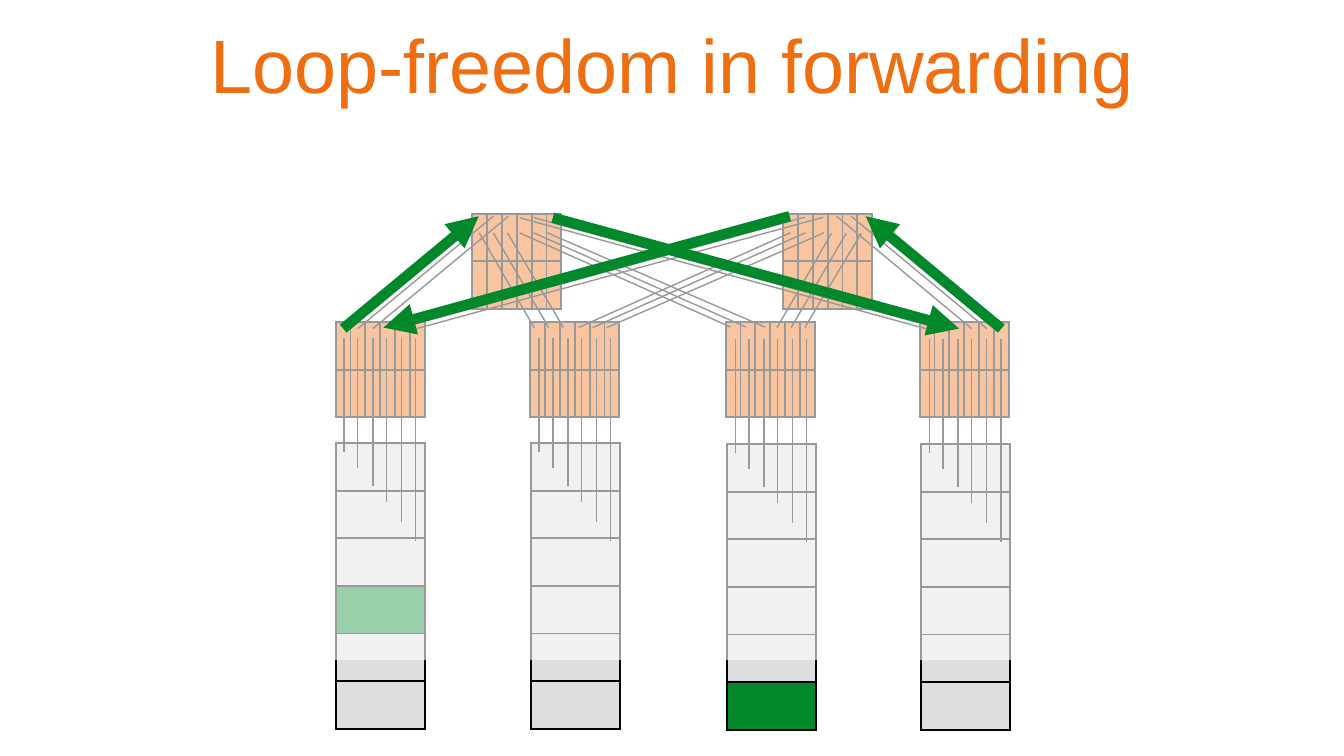
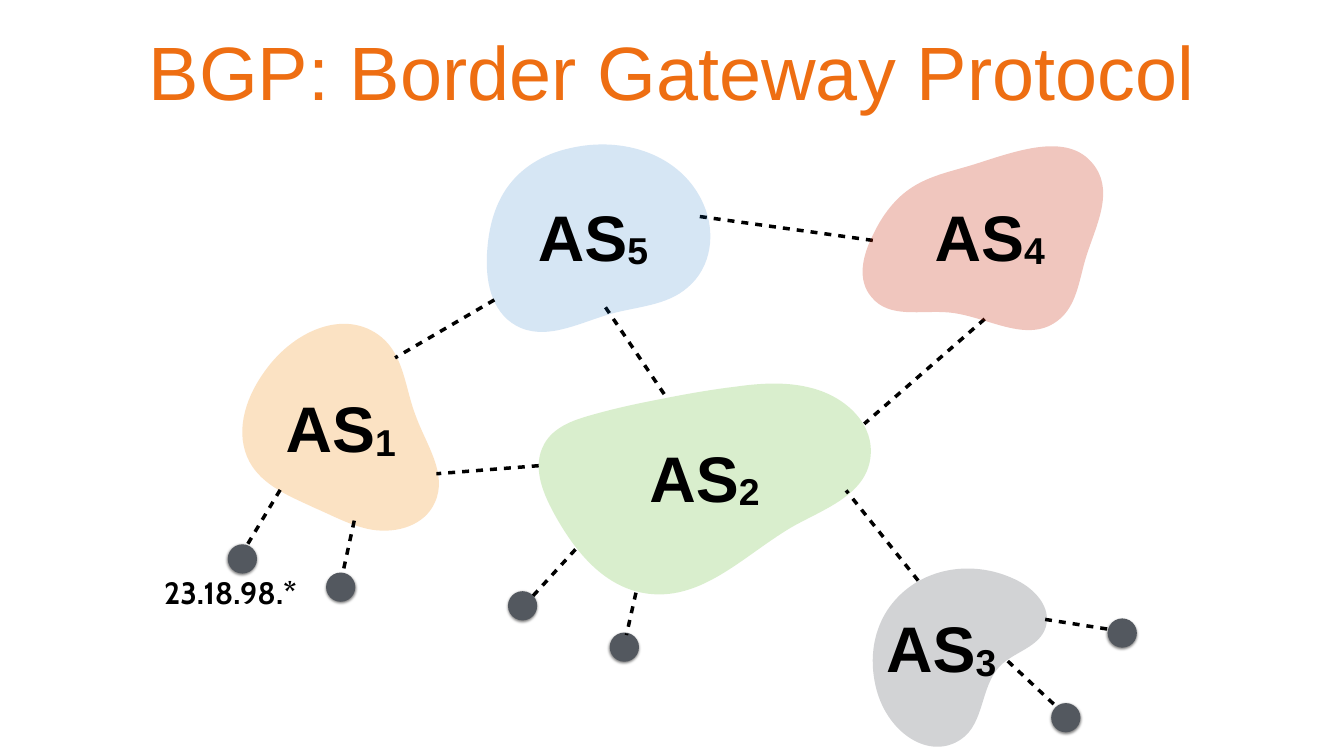
"""Builds two networking slides: loop-free forwarding in a fabric, and BGP between systems."""
from lxml import etree
from pptx import Presentation
from pptx.dml.color import RGBColor
from pptx.enum.shapes import MSO_CONNECTOR, MSO_SHAPE
from pptx.enum.text import MSO_ANCHOR, MSO_AUTO_SIZE, PP_ALIGN
from pptx.oxml.ns import qn
from pptx.util import Cm, Pt

STRAIGHT, RECT, OVAL = MSO_CONNECTOR.STRAIGHT, MSO_SHAPE.RECTANGLE, MSO_SHAPE.OVAL
MIDDLE, CENTER = MSO_ANCHOR.MIDDLE, PP_ALIGN.CENTER
FIT, NO_FIT = MSO_AUTO_SIZE.SHAPE_TO_FIT_TEXT, MSO_AUTO_SIZE.NONE

COLORS = {
    "black": "000000", "white": "FFFFFF", "orange": "EE6E12", "green": "00882B",
    "gray": "DCDEE0", "slate": "53585F", "blue": "0365C0", "red": "C82506",
    "lime": "70BF41", "amber": "F38F18",
}
BODY_FONT, LABEL_FONT = "Arial", "Cabin"

RACK_W, RACK_H, SWITCH_H = 1.77, 5.67, 1.89
RACKS = [(6.66, 8.79, 3), (10.53, 8.79, None), (14.42, 8.81, 5), (18.27, 8.81, None)]
SWITCHES = [(9.37, 4.24), (15.54, 4.24), (6.66, 6.39), (10.52, 6.39), (14.4, 6.39), (18.25, 6.39)]
WIRES = [(0.17, 0.17), (0.44, 0.49), (0.74, 0.86), (1.01, 1.17), (1.31, 1.56), (1.59, 1.94)]
WIRE_RISE = 2.08
UPLINKS = [
    ((7.1, 7.4), 6.52, (9.79, 10.09), 4.29),
    ((7.9, 8.27), 6.52, (15.97, 16.34), 4.31),
    ((19.28, 19.58), 6.52, (16.6, 16.89), 4.29),
    ((18.37, 18.66), 6.52, (10.31, 10.6), 4.32),
    ((10.6, 10.89, 11.18), 6.5, (9.51, 9.79, 10.07), 4.62),
    ((15.42, 15.7, 15.97), 6.5, (16.5, 16.79, 17.09), 4.63),
    ((11.48, 11.76, 12.04), 6.5, (15.68, 15.98, 16.35), 4.62),
    ((14.5, 14.8, 15.18), 6.49, (10.31, 10.59, 10.86), 4.62),
]
ROUTE = [
    (6.81, 6.52, 9.5, 4.29, "tail"), (7.61, 6.5, 15.67, 4.29, "head"),
    (19.87, 6.52, 17.18, 4.29, "tail"), (19.03, 6.52, 10.97, 4.32, "head"),
]

BACK_LINKS = [(13.18, 7.82, 12.01, 6.09), (17.32, 4.77, 13.84, 4.29), (19.54, 6.33, 17.15, 8.41)]
FRONT_LINKS = [(9.81, 5.95, 7.84, 7.1), (18.22, 11.52, 16.79, 9.73), (10.69, 9.24, 8.66, 9.4)]
HOST_LINKS = [
    (5.56, 9.72, 4.9, 10.82), (7.03, 10.33, 6.8, 11.38), (11.42, 10.9, 10.58, 11.82),
    (12.62, 11.76, 12.43, 12.6), (21.97, 12.48, 20.74, 12.29), (20.91, 13.97, 19.98, 13.1),
]
HOST_D = 0.58
HOSTS = [(4.52, 10.8), (6.47, 11.36), (10.08, 11.73), (12.1, 12.55), (21.98, 12.27), (20.86, 13.95)]
SYSTEMS = [(5.55, 7.63), (12.77, 8.61), (17.47, 12), (18.43, 3.83), (10.56, 3.83)]
CLOUDS = [
    ("blue", 16, [
        (11.31, 2.94),
        (10.9, 3.03), (10.51, 3.22), (10.22, 3.53), (9.86, 3.91), (9.71, 4.42), (9.67, 4.94),
        (9.62, 5.54), (9.73, 6.17), (10.24, 6.46), (10.82, 6.78), (11.48, 6.41), (12.11, 6.23),
        (12.64, 6.08), (13.23, 6.07), (13.65, 5.7), (14.12, 5.3), (14.21, 4.62), (13.96, 4.05),
        (13.53, 3.07), (12.38, 2.69), (11.31, 2.94)]),
    ("red", 26, [
        (19.4, 3.24),
        (18.94, 3.39), (18.45, 3.47), (18.05, 3.75), (17.72, 3.98), (17.48, 4.32), (17.31, 4.69),
        (17.11, 5.09), (17.01, 5.56), (17.29, 5.89), (17.64, 6.33), (18.28, 6.15), (18.83, 6.2),
        (19.58, 6.27), (20.36, 6.83), (20.98, 6.37), (21.36, 6.09), (21.41, 5.58), (21.54, 5.14),
        (21.73, 4.51), (22.1, 3.86), (21.74, 3.32), (21.26, 2.61), (20.27, 2.96), (19.4, 3.24)]),
    ("lime", 26, [
        (13.1, 7.92),
        (12.63, 8.01), (12.17, 8.11), (11.72, 8.24), (11.36, 8.34), (10.98, 8.48), (10.8, 8.81),
        (10.56, 9.24), (10.75, 9.74), (10.99, 10.18), (11.41, 10.95), (12, 11.67), (12.86, 11.78),
        (13.98, 11.92), (14.82, 10.96), (15.78, 10.42), (16.41, 10.08), (17.17, 9.8), (17.27, 9.1),
        (17.37, 8.43), (16.8, 7.88), (16.11, 7.7), (15.62, 7.57), (15.11, 7.6), (14.61, 7.67),
        (14.11, 7.73), (13.6, 7.82), (13.1, 7.92)]),
    ("amber", 26, [
        (5.21, 7.43),
        (4.85, 7.95), (4.66, 8.61), (4.95, 9.16), (5.21, 9.64), (5.76, 9.85), (6.25, 10.08),
        (6.62, 10.24), (6.98, 10.44), (7.38, 10.51), (7.89, 10.59), (8.43, 10.42), (8.63, 9.97),
        (8.89, 9.4), (8.46, 8.83), (8.25, 8.25), (8.04, 7.71), (8.02, 7.06), (7.57, 6.69),
        (6.85, 6.1), (5.79, 6.56), (5.21, 7.43)]),
    ("slate", 26, [
        (19.84, 13.22),
        (20.12, 12.93), (20.62, 12.85), (20.75, 12.45), (20.87, 12.06), (20.55, 11.69), (20.15, 11.5),
        (19.24, 11.06), (18.14, 11.29), (17.6, 12.12), (17.3, 12.59), (17.25, 13.17), (17.4, 13.71),
        (17.64, 14.56), (18.45, 15.09), (19.07, 14.67), (19.54, 14.35), (19.45, 13.63), (19.84, 13.22)]),
]


def inch(*values):
    return [Cm(v * 2.54) for v in values]


def rgb(name):
    return RGBColor.from_string(COLORS[name])


def sub(parent, tag, **attrs):
    return etree.SubElement(parent, qn(tag), attrs)


class Deck:
    def __init__(self):
        self.prs = Presentation()
        self.prs.slide_width, self.prs.slide_height = inch(26.67, 15)
        self.s = None

    def slide(self, title, *box):
        self.s = self.prs.slides.add_slide(self.prs.slide_layouts[5])
        sp = self.s.shapes.title
        sp.left, sp.top, sp.width, sp.height = inch(*box)
        self.fill_text(sp.text_frame, [title], 108, BODY_FONT, "orange", False)
        sp.text_frame.auto_size = NO_FIT

    def fill_text(self, tf, runs, size, font, color, bold):
        tf.margin_left = tf.margin_right = tf.margin_top = tf.margin_bottom = Cm(0.2)
        tf.vertical_anchor = MIDDLE
        p = tf.paragraphs[0]
        p.alignment = CENTER
        p.font.size, p.font.name, p.font.bold = Pt(size), font, bold
        p.font.color.rgb = rgb(color)
        for text in runs:
            r = p.add_run()
            r.text = text
        return p

    def label(self, box, runs, size, font):
        tf = self.s.shapes.add_textbox(*inch(*box)).text_frame
        tf.word_wrap = False
        tf.auto_size = FIT
        return self.fill_text(tf, runs, size, font, "black", True)

    def paint(self, sp, color, opacity=100):
        sp.shadow.inherit = False
        sp.line.fill.background()
        sp.fill.solid()
        sp.fill.fore_color.rgb = rgb(color)
        if opacity < 100:
            clr = sp._element.spPr.find(qn("a:solidFill"))[0]
            sub(clr, "a:alpha", val=str(opacity * 1000))

    def shape(self, kind, box, color, opacity=100, shadow=False):
        sp = self.s.shapes.add_shape(kind, *inch(*box))
        self.paint(sp, color, opacity)
        if shadow:
            effects = sp._element.spPr.find(qn("a:effectLst"))
            shade = sub(effects, "a:outerShdw", blurRad=str(Pt(4)), dist=str(Pt(2)),
                        dir="5400000", rotWithShape="0")
            clr = sub(shade, "a:srgbClr", val=COLORS["black"])
            sub(clr, "a:alpha", val="50000")

    def cloud(self, color, opacity, points):
        pts = [inch(*point) for point in points]
        builder = self.s.shapes.build_freeform(*pts[0], scale=1.0)
        builder.add_line_segments(pts[1:], close=True)
        sp = builder.convert_to_shape()
        segments = list(sp._element.iter(qn("a:lnTo")))
        for i in range(0, len(segments), 3):
            first, *others = segments[i:i + 3]
            first.tag = qn("a:cubicBezTo")
            for seg in others:
                first.append(seg[0])
                seg.getparent().remove(seg)
        self.paint(sp, color, opacity)

    def line(self, ends, color, width, arrow=None, dashed=False, group=None):
        shapes = group.shapes if group else self.s.shapes
        cx = shapes.add_connector(STRAIGHT, *inch(*ends))
        cx.line.color.rgb = rgb(color)
        cx.line.width = Pt(width)
        ln = cx._element.spPr.find(qn("a:ln"))
        if dashed:
            sub(sub(ln, "a:custDash"), "a:ds", d="200000", sp="200000")
        if arrow:
            sub(ln, f"a:{arrow}End", type="triangle")
        sub(cx._element.spPr, "a:effectLst")

    def links(self, ends_list, group=None):
        for ends in ends_list:
            self.line(ends, "black", 5, dashed=True, group=group)

    def grid(self, box, rows, cols, color, marked=None):
        x, y, w, h = inch(*box)
        table = self.s.shapes.add_table(rows, cols, x, y, w, h).table
        table.first_row = table.horz_banding = False
        for row in table.rows:
            row.height = h // rows
        for col in table.columns:
            col.width = w // cols
        for i, cell in enumerate(table.iter_cells()):
            tc_pr = cell._tc.get_or_add_tcPr()
            for side in "LRTB":
                ln = sub(tc_pr, f"a:ln{side}", w=str(Pt(3)))
                sub(sub(ln, "a:solidFill"), "a:srgbClr", val=COLORS["black"])
            cell.fill.solid()
            cell.fill.fore_color.rgb = rgb("green" if i == marked else color)


def forwarding_slide(deck):
    deck.slide("Loop-freedom in forwarding", 2.48, -0.11, 21.72, 2.73)
    for x, y in SWITCHES:
        deck.grid((x, y, RACK_W, SWITCH_H), 2, 6, "orange")
    for x, y, marked in RACKS:
        deck.grid((x, y, RACK_W, RACK_H), 6, 1, "gray", marked)
        group = deck.s.shapes.add_group_shape()
        for dx, depth in WIRES:
            deck.line((x + dx, y + depth, x + dx, y - WIRE_RISE), "black", 2, group=group)
    for starts, y1, ends, y2 in UPLINKS:
        for x1, x2 in zip(starts, ends):
            deck.line((x1, y1, x2, y2), "black", 2)
    deck.shape(RECT, (5.79, 3.03, 15.09, 10.07), "white", 60)
    for *ends, arrow in ROUTE:
        deck.line(ends, "green", 15, arrow)


def bgp_slide(deck):
    deck.slide("BGP: Border Gateway Protocol", 2.52, 0.02, 21.62, 2.73)
    deck.links(BACK_LINKS, deck.s.shapes.add_group_shape())
    for color, opacity, points in CLOUDS:
        deck.cloud(color, opacity, points)
    deck.links(FRONT_LINKS)
    for number, (x, y) in enumerate(SYSTEMS, 1):
        p = deck.label((x, y, 2.42, 1.68), ["AS", str(number)], 92, BODY_FONT)
        p.runs[1]._r.get_or_add_rPr().set("baseline", "-6000")
    for x, y in HOSTS:
        deck.shape(OVAL, (x, y, HOST_D, HOST_D), "slate", shadow=True)
    deck.links(HOST_LINKS)
    deck.label((2.97, 11.32, 3.21, 0.86), ["23.18.98.*"], 44, LABEL_FONT)


def main():
    deck = Deck()
    forwarding_slide(deck)
    bgp_slide(deck)
    deck.prs.save("out.pptx")


if __name__ == "__main__":
    main()
